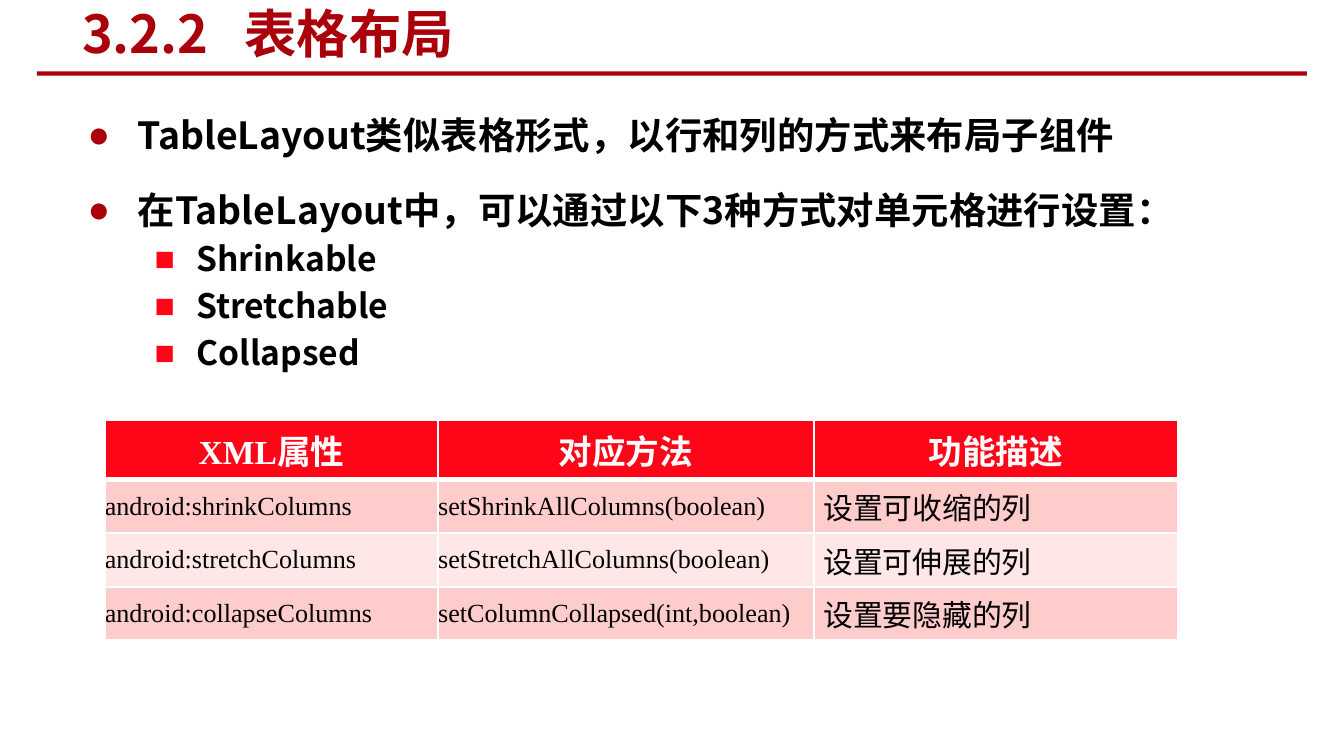
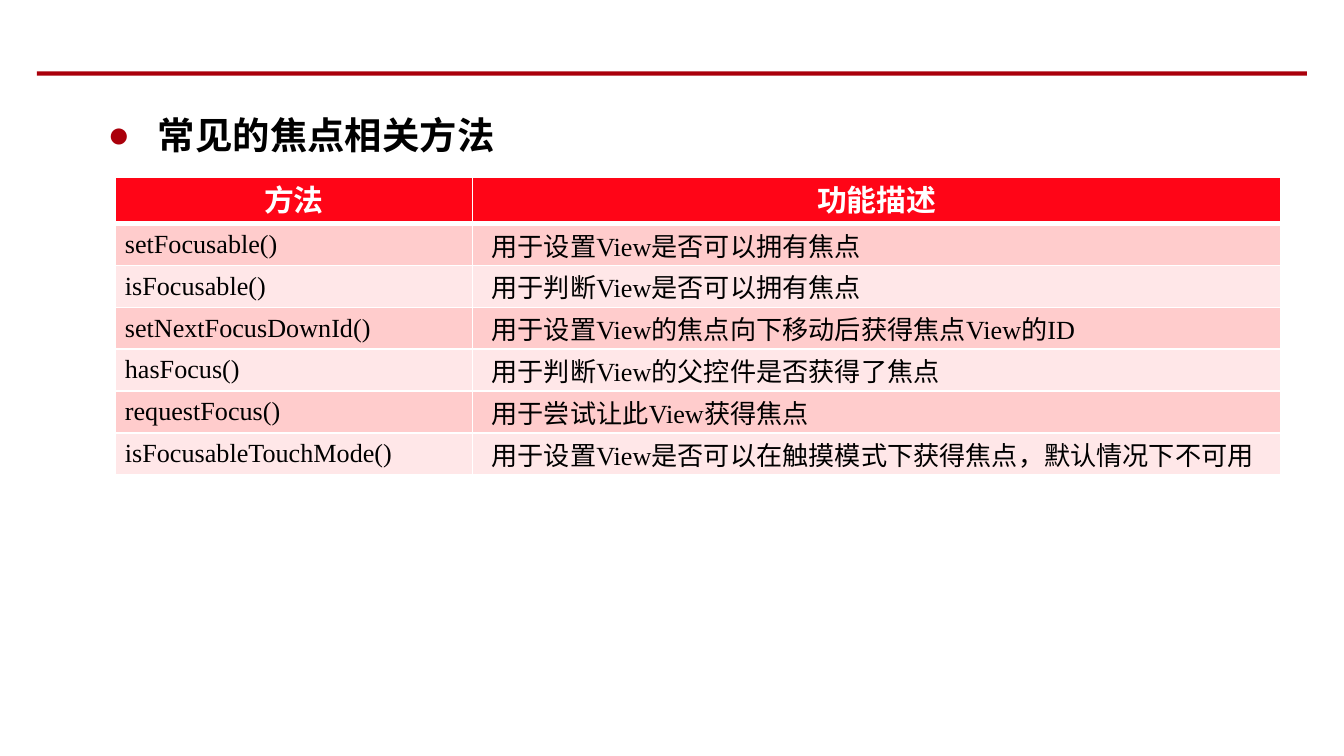
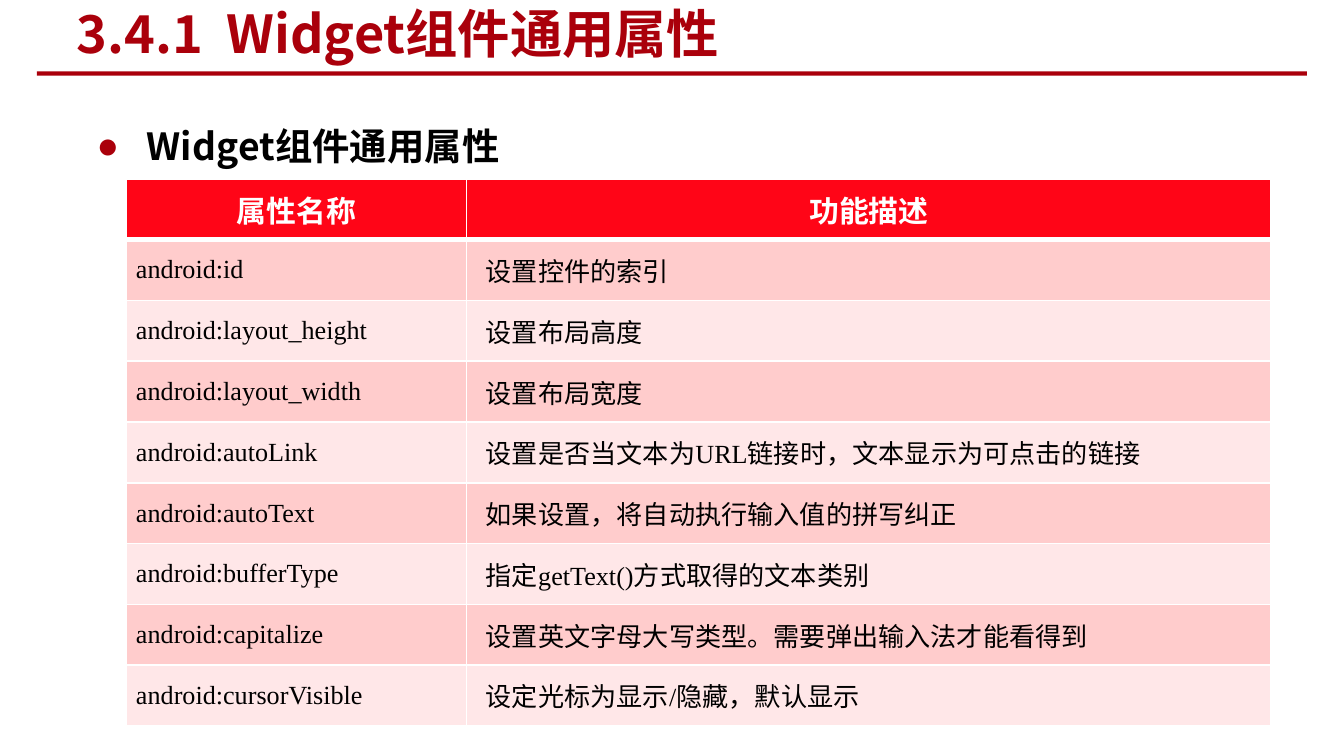
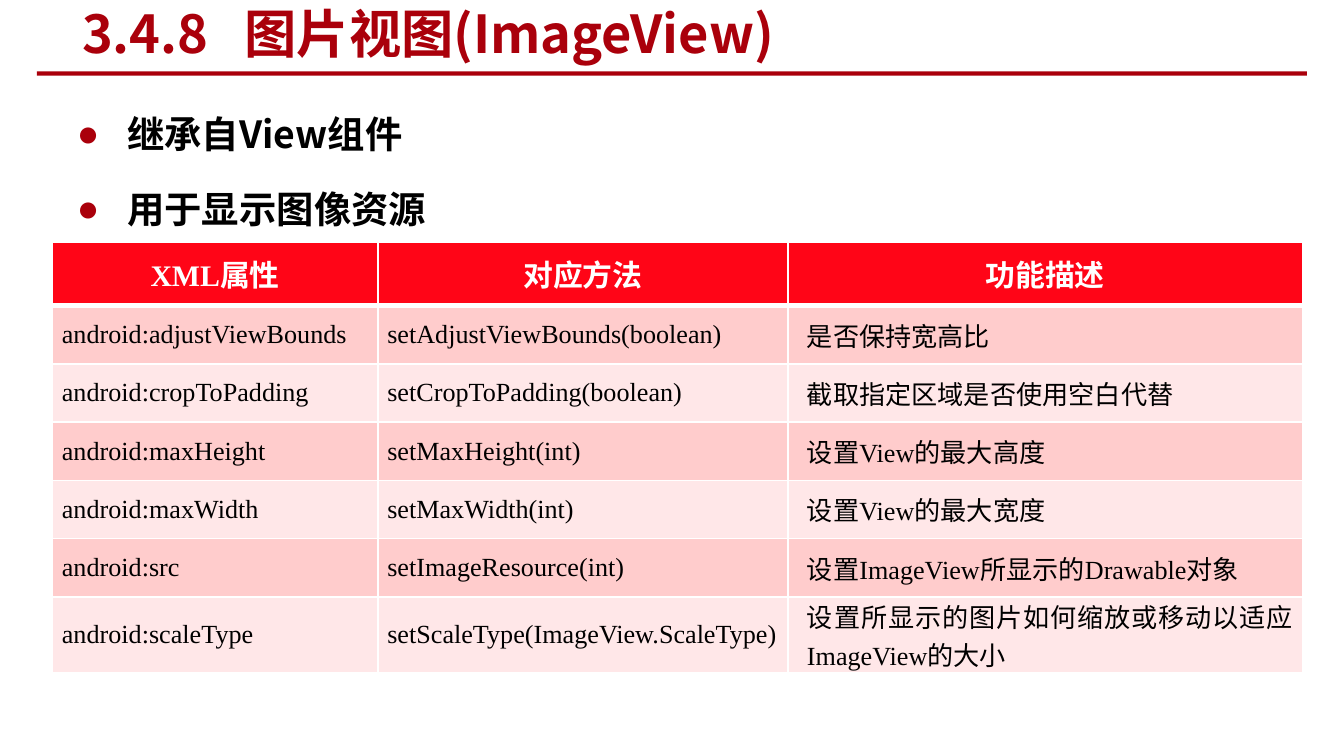
from lxml import etree
from pptx import Presentation
from pptx.dml.color import RGBColor
from pptx.enum.shapes import MSO_SHAPE
from pptx.enum.text import MSO_ANCHOR, MSO_AUTO_SIZE, PP_ALIGN
from pptx.oxml.ns import qn
from pptx.util import Cm, Pt

RECT = MSO_SHAPE.RECTANGLE
TOP, MIDDLE = MSO_ANCHOR.TOP, MSO_ANCHOR.MIDDLE
NO_FIT = MSO_AUTO_SIZE.NONE
LEFT, CENTER, JUSTIFY = PP_ALIGN.LEFT, PP_ALIGN.CENTER, PP_ALIGN.JUSTIFY

COLORS = {
    "dark_red": "AA000B",
    "red": "FF0517",
    "pink": "FFCCCC",
    "pale": "FFE7E8",
    "white": "FFFFFF",
    "black": "000000",
}
SANS, SERIF, ARIAL = "Noto Sans CJK SC", "Times New Roman", "Arial"

BULLETS = [
    {"char": "●", "color": "dark_red", "size": 20, "left": 0.95, "hang": 0.95, "spacing": 1.5},
    {"char": "■", "color": "red", "size": 18, "left": 2.06, "hang": 0.79, "spacing": 1.0},
]

SLIDES = [
    {
        "title": ("3.2.2\t表格布局", 1.3, 15.6, 3.07),
        "list_box": (1.4, 1.57, 22.8, 9.52),
        "items": [
            (0, "TableLayout类似表格形式，以行和列的方式来布局子组件"),
            (0, "在TableLayout中，可以通过以下3种方式对单元格进行设置："),
            (1, "Shrinkable"),
            (1, "Stretchable"),
            (1, "Collapsed"),
        ],
        "table_at": (1.98, 7.95),
        "cols": [6.3, 7.1, 6.88],
        "row_heights": [1.12] + [1.01] * 3,
        "head": {"font": SERIF, "size": 18},
        "note": {"font": ARIAL, "size": 16},
        "inset": 0,
        "rows": [
            ("XML属性", "对应方法", "功能描述"),
            ("android:shrinkColumns", "setShrinkAllColumns(boolean)", "设置可收缩的列"),
            ("android:stretchColumns", "setStretchAllColumns(boolean)", "设置可伸展的列"),
            ("android:collapseColumns", "setColumnCollapsed(int,boolean)", "设置要隐藏的列"),
        ],
    },
    {
        "list_box": (1.78, 1.57, 7.9, 1.4),
        "items": [(0, "常见的焦点相关方法")],
        "table_at": (2.18, 3.35),
        "cols": [6.75, 15.28],
        "row_heights": [0.88] + [0.79] * 6,
        "head": {"font": ARIAL, "size": 16},
        "head_anchor": TOP,
        "rows": [
            ("方法", "功能描述"),
            ("setFocusable()", "用于设置View是否可以拥有焦点"),
            ("isFocusable()", "用于判断View是否可以拥有焦点"),
            ("setNextFocusDownId()", "用于设置View的焦点向下移动后获得焦点View的ID"),
            ("hasFocus()", "用于判断View的父控件是否获得了焦点"),
            ("requestFocus()", "用于尝试让此View获得焦点"),
            ("isFocusableTouchMode()", "用于设置View是否可以在触摸模式下获得焦点，默认情况下不可用"),
        ],
    },
    {
        "title": ("3.4.1\tWidget组件通用属性", 1.2, 17.75, 2.83),
        "list_box": (1.57, 1.78, 8.4, 1.4),
        "items": [(0, "Widget组件通用属性")],
        "table_at": (2.39, 3.38),
        "cols": [6.43, 15.2],
        "row_heights": [1.15] * 9,
        "head": {"font": ARIAL, "size": 16},
        "rows": [
            ("属性名称", "功能描述"),
            ("android:id", "设置控件的索引"),
            ("android:layout_height", "设置布局高度"),
            ("android:layout_width", "设置布局宽度"),
            ("android:autoLink", "设置是否当文本为URL链接时，文本显示为可点击的链接"),
            ("android:autoText", "如果设置，将自动执行输入值的拼写纠正"),
            ("android:bufferType", "指定getText()方式取得的文本类别"),
            ("android:capitalize", "设置英文字母大写类型。需要弹出输入法才能看得到"),
            ("android:cursorVisible", "设定光标为显示/隐藏，默认显示"),
        ],
    },
    {
        "title": ("3.4.8\t图片视图(ImageView)", 1.3, 16.94, 3.07),
        "list_box": (1.2, 1.52, 22.8, 3.0),
        "list_anchor": MIDDLE,
        "items": [(0, "继承自View组件"), (0, "用于显示图像资源")],
        "table_at": (0.99, 4.57),
        "cols": [6.15, 7.75, 9.73],
        "row_heights": [1.21] + [1.1] * 5 + [1.43],
        "head": {"font": SERIF, "size": 16},
        "rows": [
            ("XML属性", "对应方法", "功能描述"),
            ("android:adjustViewBounds", "setAdjustViewBounds(boolean)", "是否保持宽高比"),
            ("android:cropToPadding", "setCropToPadding(boolean)", "截取指定区域是否使用空白代替"),
            ("android:maxHeight", "setMaxHeight(int)", "设置View的最大高度"),
            ("android:maxWidth", "setMaxWidth(int)", "设置View的最大宽度"),
            ("android:src", "setImageResource(int)", "设置ImageView所显示的Drawable对象"),
            ("android:scaleType", "setScaleType(ImageView.ScaleType)",
             "设置所显示的图片如何缩放或移动以适应ImageView的大小"),
        ],
    },
]


def sub(parent, tag, **attrs):
    el = etree.SubElement(parent, qn(tag))
    for key, value in attrs.items():
        el.set(key, str(value))
    return el


def write(p, text, font=SANS, size=14, color="black", bold=False, align=LEFT):
    p.alignment = align
    r = p.add_run()
    r.text = text
    r.font.size = Pt(size)
    r.font.bold = bold
    r.font.color.rgb = RGBColor.from_string(COLORS[color])
    r.font.name = font
    sub(r.font._element, "a:ea", typeface=SANS)


prs = Presentation()
prs.slide_width = Cm(25.4)
prs.slide_height = Cm(14.29)
layout = prs.slide_layouts[1]

for number, data in enumerate(SLIDES):
    s = prs.slides.add_slide(layout)

    if number == 0:
        band = s.shapes.add_shape(RECT, Cm(0.7), Cm(1.35), Cm(24), Cm(0.08))
        band.shadow.inherit = False
        band.fill.solid()
        band.fill.fore_color.rgb = RGBColor.from_string(COLORS["dark_red"])
        band.line.fill.background()
        band.element.nvSpPr.cNvPr.set("id", "20")
        prs.slide_master.shapes.element.append(band.element)

    title = s.shapes.title
    if "title" in data:
        text, left, width, tab = data["title"]
        title.left, title.top, title.width, title.height = Cm(left), Cm(0.05), Cm(width), Cm(1.14)
        tf = title.text_frame
        tf.auto_size = NO_FIT
        tf.vertical_anchor = MIDDLE
        p = tf.paragraphs[0]
        tabs = sub(p._p.get_or_add_pPr(), "a:tabLst")
        sub(tabs, "a:tab", pos=Cm(tab), algn="l")
        write(p, text, size=28, color="dark_red", bold=True)
    else:
        title.element.getparent().remove(title.element)

    body = s.placeholders[1]
    body.left, body.top, body.width, body.height = [Cm(v) for v in data["list_box"]]
    tf = body.text_frame
    tf.auto_size = NO_FIT
    tf.word_wrap = True
    tf.vertical_anchor = data.get("list_anchor", TOP)
    for i, (level, text) in enumerate(data["items"]):
        bullet = BULLETS[level]
        p = tf.add_paragraph() if i else tf.paragraphs[0]
        p.level = level
        p.line_spacing = bullet["spacing"]
        p.space_before = Pt(bullet["size"] * 0.2 if i else 0)
        pPr = p._p.get_or_add_pPr()
        pPr.set("marL", str(Cm(bullet["left"])))
        pPr.set("indent", str(-Cm(bullet["hang"])))
        sub(sub(pPr, "a:buClr"), "a:srgbClr", val=COLORS[bullet["color"]])
        sub(pPr, "a:buFont", typeface=ARIAL)
        sub(pPr, "a:buChar", char=bullet["char"])
        write(p, text, size=bullet["size"], bold=True)

    rows, cols, heights = data["rows"], data["cols"], data["row_heights"]
    left, top = data["table_at"]
    table = s.shapes.add_table(len(rows), len(cols), Cm(left), Cm(top),
                               Cm(sum(cols)), Cm(sum(heights))).table
    for column, width in zip(table.columns, cols):
        column.width = Cm(width)
    for row, height in zip(table.rows, heights):
        row.height = Cm(height)

    for i, row in enumerate(rows):
        for j, text in enumerate(row):
            cell = table.cell(i, j)
            inset = data.get("inset", 0.18) if i else 0
            cell.margin_left = cell.margin_right = Cm(inset)
            cell.margin_top = cell.margin_bottom = 0
            cell.vertical_anchor = MIDDLE if i else data.get("head_anchor", MIDDLE)

            tcPr = cell._tc.get_or_add_tcPr()
            for side in "LRTB":
                thick = (i, side) in [(0, "B"), (1, "T")]
                ln = sub(tcPr, f"a:ln{side}", w=Pt(3 if thick else 1))
                sub(sub(ln, "a:solidFill"), "a:srgbClr", val=COLORS["white"])
            fill = ("pink" if i % 2 else "pale") if i else "red"
            cell.fill.solid()
            cell.fill.fore_color.rgb = RGBColor.from_string(COLORS[fill])

            p = cell.text_frame.paragraphs[0]
            if i == 0:
                write(p, text, color="white", bold=True, align=CENTER, **data["head"])
            elif j == len(cols) - 1:
                p._p.get_or_add_pPr().set("marL", str(Cm(0.18)))
                write(p, text, align=JUSTIFY, **data.get("note", {"font": SERIF}))
            else:
                write(p, text, font=SERIF)

prs.save("out.pptx")
